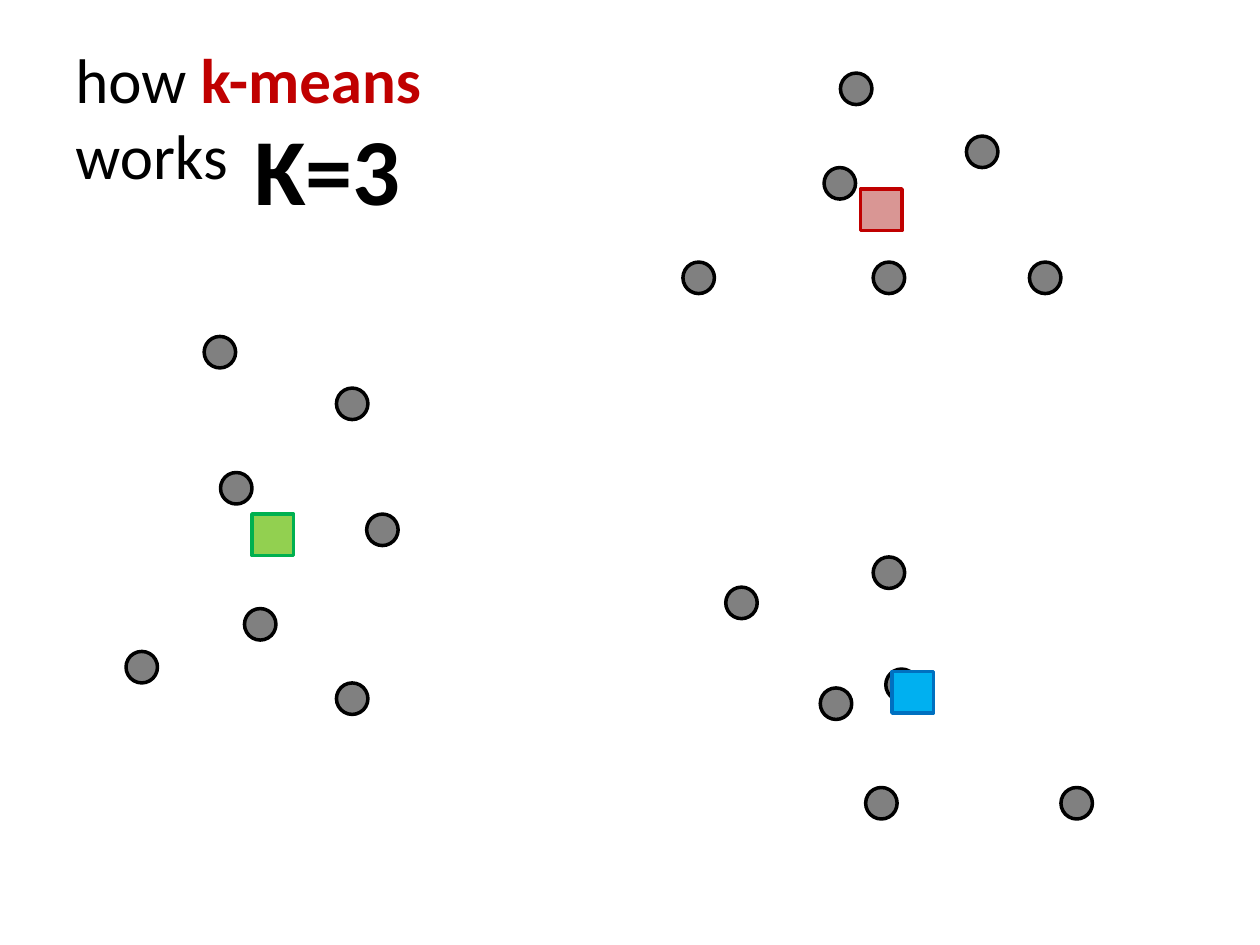
"""Build the slide that shows the starting centroids of k-means with K=3."""
from pptx import Presentation
from pptx.dml.color import RGBColor
from pptx.enum.shapes import MSO_SHAPE
from pptx.enum.text import MSO_ANCHOR
from pptx.util import Inches, Pt

OVAL, SQUARE = MSO_SHAPE.OVAL, MSO_SHAPE.RECTANGLE
TOP, MIDDLE = MSO_ANCHOR.TOP, MSO_ANCHOR.MIDDLE
BLACK, GRAY, RED = "000000", "808080", "C00000"
POINT_SIZE, CENTROID_SIZE = 0.25, 0.33

CLUSTERS = {
    "left": [(1.75, 3.75), (2.67, 3.08), (2.91, 4.08), (1.94, 4.83),
             (2.67, 5.42), (1, 5.17), (1.62, 2.67)],
    "upper right": [(7.67, 1.08), (8.17, 2.08), (6.67, 0.58),
                    (6.93, 2.08), (6.54, 1.33), (5.42, 2.08)],
    "lower right": [(6.93, 4.42), (8.42, 6.25), (6.87, 6.25),
                    (7.03, 5.31), (6.51, 5.46), (5.76, 4.66)],
}
CENTROIDS = [
    ((2, 4.08), "92D050", "00B050"),
    ((7.08, 5.33), "00B0F0", "0070C0"),
    ((6.83, 1.5), "D99694", RED),
]
TITLE = [[("how ", BLACK, False), ("k-means", RED, True)],
         [("works", BLACK, False)]]
CLUSTER_COUNT = [[("K=3", BLACK, True)]]


def color(value):
    return RGBColor.from_string(value)


def add_text(slide, box, lines, size, anchor):
    frame = slide.shapes.add_textbox(*map(Inches, box)).text_frame
    frame.word_wrap = True
    frame.vertical_anchor = anchor
    paragraph = frame.paragraphs[0]
    for index, line in enumerate(lines):
        if index:
            paragraph.add_line_break()
        for text, run_color, bold in line:
            run = paragraph.add_run()
            run.text = text
            run.font.color.rgb = color(run_color)
            formats = {"name": "Calibri", "size": Pt(size), "bold": bold}
            for name, value in formats.items():
                setattr(run.font, name, value)


def add_marker(slide, kind, position, size, fill, outline):
    shape = slide.shapes.add_shape(kind, *map(Inches, (*position, size, size)))
    shape.shadow.inherit = False
    shape.fill.solid()
    shape.fill.fore_color.rgb = color(fill)
    shape.line.color.rgb = color(outline)
    shape.line.width = Pt(2)


presentation = Presentation()
presentation.slide_width, presentation.slide_height = Inches(10), Inches(7.5)
slide = presentation.slides.add_slide(presentation.slide_layouts[6])

add_text(slide, (0.5, 0.3, 9, 1.25), TITLE, 36, MIDDLE)
for points in CLUSTERS.values():
    for position in points:
        add_marker(slide, OVAL, position, POINT_SIZE, GRAY, BLACK)
add_text(slide, (1.92, 0.83, 3.69, 1.01), CLUSTER_COUNT, 54, TOP)
for position, fill, outline in CENTROIDS:
    add_marker(slide, SQUARE, position, CENTROID_SIZE, fill, outline)

presentation.save("out.pptx")
